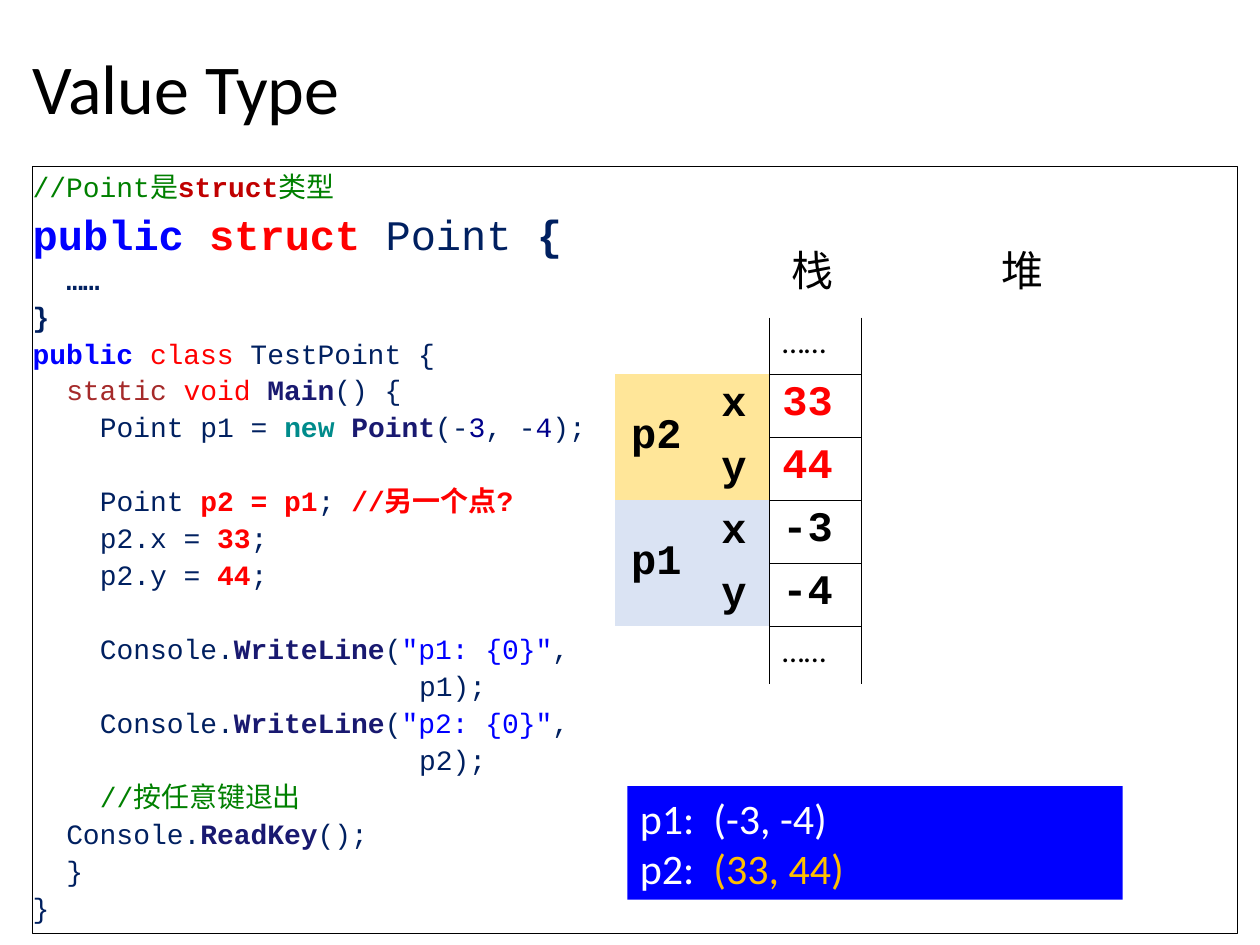
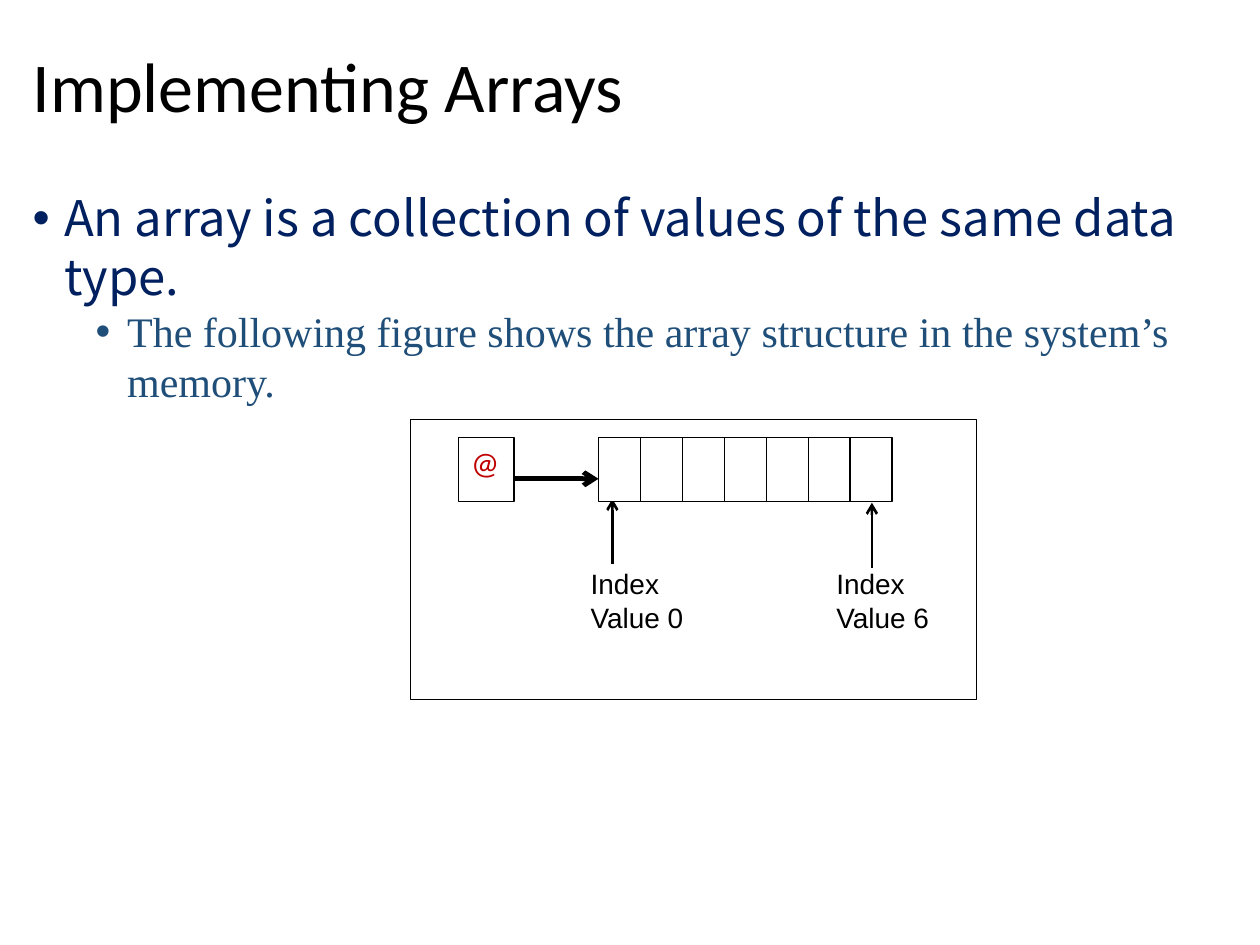
from lxml.etree import SubElement
from pptx import Presentation
from pptx.dml.color import RGBColor
from pptx.enum.shapes import MSO_CONNECTOR as CONNECTOR, MSO_SHAPE as SHAPE
from pptx.enum.text import MSO_ANCHOR as ANCHOR, MSO_AUTO_SIZE as AUTO_SIZE, PP_ALIGN as ALIGN
from pptx.oxml.ns import qn
from pptx.util import Inches, Pt

BLACK = RGBColor(0x00, 0x00, 0x00)
WHITE = RGBColor(0xFF, 0xFF, 0xFF)
NAVY = RGBColor(0x00, 0x20, 0x60)
STEEL = RGBColor(0x1F, 0x4E, 0x79)
BLUE = RGBColor(0x00, 0x00, 0xFF)
RED = RGBColor(0xFF, 0x00, 0x00)
DARK_RED = RGBColor(0xC0, 0x00, 0x00)
GREEN = RGBColor(0x00, 0x80, 0x00)
BROWN = RGBColor(0xA5, 0x2A, 0x2A)
MIDNIGHT = RGBColor(0x19, 0x19, 0x70)
TEAL = RGBColor(0x00, 0x8B, 0x8B)
DARK_BLUE = RGBColor(0x00, 0x00, 0x8B)
GOLD = RGBColor(0xFF, 0xC0, 0x00)
CREAM = RGBColor(0xFF, 0xE6, 0x99)
PALE_BLUE = RGBColor(0xDA, 0xE3, 0xF3)

CALIBRI = "Calibri"
MONO = "Courier New"
CJK = "Noto Sans CJK SC"
NO_TABLE_STYLE = "{2D5ABB26-0587-4C30-8999-92F81FD0307C}"
CODE_SIZE = 16
CODE_CHAR = 0.6 * CODE_SIZE / 72

# Each line of code: indent in characters, blank lines above, size, spans of (text, colour, bold)
CODE = [
    (0, 0, 16, [("//Point是", GREEN, False), ("struct", DARK_RED, True), ("类型", GREEN, False)]),
    (0, 0, 24, [("public ", BLUE, True), ("struct", RED, True), (" Point ", NAVY, False),
                ("{", NAVY, True)]),
    (2, 0, 16, [("……", NAVY, True)]),
    (0, 0, 16, [("}", NAVY, True)]),
    (0, 0, 16, [("public ", BLUE, True), ("class", RED, False), (" TestPoint {", NAVY, False)]),
    (2, 0, 16, [("static ", BROWN, False), ("void ", RED, False), ("Main", MIDNIGHT, True),
                ("() {", NAVY, False)]),
    (4, 0, 16, [("Point p1 = ", NAVY, False), ("new ", TEAL, True), ("Point", MIDNIGHT, True),
                ("(-", NAVY, False), ("3", DARK_BLUE, False), (", -", NAVY, False),
                ("4", DARK_BLUE, False), (");", NAVY, False)]),
    (4, 1, 16, [("Point ", NAVY, False), ("p2 = p1", RED, True), ("; ", NAVY, False),
                ("//另一个点?", RED, True)]),
    (4, 0, 16, [("p2.x = ", NAVY, False), ("33", RED, True), (";", NAVY, False)]),
    (4, 0, 16, [("p2.y = ", NAVY, False), ("44", RED, True), (";", NAVY, False)]),
    (4, 1, 16, [("Console.", NAVY, False), ("WriteLine", MIDNIGHT, True), ("(", NAVY, False),
                ('"p1: {0}"', BLUE, False), (",", NAVY, False)]),
    (23, 0, 16, [("p1);", NAVY, False)]),
    (4, 0, 16, [("Console.", NAVY, False), ("WriteLine", MIDNIGHT, True), ("(", NAVY, False),
                ('"p2: {0}"', BLUE, False), (",", NAVY, False)]),
    (23, 0, 16, [("p2);", NAVY, False)]),
    (4, 0, 16, [("//按任意键退出", GREEN, False)]),
    (2, 0, 16, [("Console.", NAVY, False), ("ReadKey", MIDNIGHT, True), ("();", NAVY, False)]),
    (2, 0, 16, [("}", NAVY, False)]),
    (0, 0, 16, [("}", NAVY, False)]),
]


def add_span(para, text, size, font, color=BLACK, bold=False):
    span = para.add_run()
    span.text = text
    span.font.size = Pt(size)
    span.font.name = font
    span.font.bold = bold
    span.font.color.rgb = color
    SubElement(span.font._element, qn("a:ea")).set("typeface", CJK)


def next_para(frame, index):
    """Give the frame's first paragraph for index 0, else a new one."""
    para = frame.paragraphs[0] if index == 0 else frame.add_paragraph()
    para.alignment = ALIGN.LEFT
    return para


def place(item, left, top, width, height):
    item.left, item.top = Inches(left), Inches(top)
    item.width, item.height = Inches(width), Inches(height)


def set_indent(para, left, hanging=0):
    properties = para._p.get_or_add_pPr()
    properties.set("marL", str(Inches(left)))
    properties.set("indent", str(-Inches(hanging)))
    return properties


def add_title(page, text, top):
    title = page.shapes.title
    place(title, 0.16, top, 9.74, 1.2)
    frame = title.text_frame
    frame.vertical_anchor = ANCHOR.MIDDLE
    frame.auto_size = AUTO_SIZE.NONE
    para = next_para(frame, 0)
    para.line_spacing = 0.9
    add_span(para, text, 40, CALIBRI)


def add_rect(page, left, top, width, height, fill=WHITE, line=None):
    box = page.shapes.add_shape(SHAPE.RECTANGLE, Inches(left), Inches(top),
                                Inches(width), Inches(height))
    box.shadow.inherit = False
    if fill is None:
        box.fill.background()
    else:
        box.fill.solid()
        box.fill.fore_color.rgb = fill
    if line is None:
        box.line.fill.background()
    else:
        box.line.color.rgb = line
        box.line.width = Pt(0.75)
    box.text_frame.word_wrap = True
    box.text_frame.vertical_anchor = ANCHOR.TOP
    return box


def add_line(page, start, end, width=0.75, arrow=False):
    line = page.shapes.add_connector(CONNECTOR.STRAIGHT, *map(Inches, start + end))
    line.line.color.rgb = BLACK
    line.line.width = Pt(width)
    if arrow:
        SubElement(line.line._get_or_add_ln(), qn("a:tailEnd")).set("type", "arrow")
    SubElement(line._element.spPr, qn("a:effectLst"))


def add_code(page):
    box = add_rect(page, 0.26, 1.32, 9.56, 6.09, fill=None, line=BLACK)
    frame = box.text_frame
    frame.margin_left = frame.margin_top = frame.margin_right = frame.margin_bottom = 0
    for index, (indent, blank_lines, size, spans) in enumerate(CODE):
        para = next_para(frame, index)
        para.line_spacing = Pt(1.32 * size)
        para.space_before = Pt(1.32 * size * blank_lines)
        set_indent(para, indent * CODE_CHAR)
        for text, color, bold in spans:
            add_span(para, text, size, MONO, color, bold)


def add_memory_headings(page):
    box = page.shapes.add_textbox(Inches(6.18), Inches(1.89), Inches(3.03), Inches(0.5))
    box.text_frame.word_wrap = True
    para = next_para(box.text_frame, 0)
    tabs = SubElement(para._p.get_or_add_pPr(), qn("a:tabLst"))
    tab = SubElement(tabs, qn("a:tab"))
    tab.set("pos", str(Inches(1.67)))
    tab.set("algn", "l")
    add_span(para, "栈\t堆", 24, CJK)


def add_cell_borders(cell, sides):
    for side in sides:
        border = SubElement(cell._tc.get_or_add_tcPr(), qn("a:ln" + side))
        border.set("w", str(Pt(0.45)))
        fill = SubElement(border, qn("a:solidFill"))
        SubElement(fill, qn("a:srgbClr")).set("val", str(BLACK))


def fill_cell(cell, text, fill=None, size=24, font=MONO, color=BLACK, centred=False):
    if fill is None:
        cell.fill.background()
    else:
        cell.fill.solid()
        cell.fill.fore_color.rgb = fill
    if not text:
        return
    para = next_para(cell.text_frame, 0)
    if centred:
        para.alignment = ALIGN.CENTER
        cell.vertical_anchor = ANCHOR.MIDDLE
    add_span(para, text, size, font, color, bold=font == MONO)


def add_stack_table(page):
    frame = page.shapes.add_table(6, 3, Inches(4.88), Inches(2.52), Inches(1.96), Inches(2.91))
    table = frame.table
    table.first_row = table.horz_banding = False
    table._tbl.tblPr[0].text = NO_TABLE_STYLE
    for column, width in zip(table.columns, (0.66, 0.57, 0.73)):
        column.width = Inches(width)
    for row, height in zip(table.rows, (0.45, 0.5, 0.5, 0.5, 0.5, 0.46)):
        row.height = Inches(height)

    for row, sides in ((0, "LRB"), (5, "LRT")):
        table.cell(row, 0).merge(table.cell(row, 1))
        for column in (0, 1):
            fill_cell(table.cell(row, column), "")
        add_cell_borders(table.cell(row, 2), sides)
        fill_cell(table.cell(row, 2), "……", size=18, font=CALIBRI)

    variables = [("p2", CREAM, RED, ("33", "44")), ("p1", PALE_BLUE, BLACK, ("-3", "-4"))]
    for index, (name, fill, color, values) in enumerate(variables):
        top = 1 + 2 * index
        table.cell(top, 0).merge(table.cell(top + 1, 0))
        fill_cell(table.cell(top, 0), name, fill, centred=True)
        fill_cell(table.cell(top + 1, 0), "", fill)
        for row, (field, value) in enumerate(zip("xy", values), top):
            fill_cell(table.cell(row, 1), field, fill, centred=True)
            add_cell_borders(table.cell(row, 2), "LRTB")
            fill_cell(table.cell(row, 2), value, color=color)


def add_output(page):
    box = add_rect(page, 4.98, 6.24, 3.93, 0.9, fill=BLUE)
    results = [("p1:  ", "(-3, -4)", WHITE), ("p2:  ", "(33, 44)", GOLD)]
    for index, (name, value, color) in enumerate(results):
        para = next_para(box.text_frame, index)
        add_span(para, name, 24, CALIBRI, WHITE)
        add_span(para, value, 24, CALIBRI, color)


def add_bullets(page):
    body = page.placeholders[1]
    place(body, 0.16, 1.44, 9.74, 5.91)
    frame = body.text_frame
    frame.auto_size = AUTO_SIZE.NONE
    bullets = [
        ("An array is a collection of values of the same data type.", 28, CJK, NAVY, 0.25, 2),
        ("The following figure shows the array structure in the system’s memory.",
         24, "Times New Roman", STEEL, 0.75, 0),
    ]
    for level, (text, size, font, color, indent, before) in enumerate(bullets):
        para = next_para(frame, level)
        para.level = level
        para.line_spacing = Pt(1.2 * size)
        para.space_before = Pt(before)
        properties = set_indent(para, indent, 0.25)
        bullet_color = SubElement(properties, qn("a:buClr"))
        SubElement(bullet_color, qn("a:srgbClr")).set("val", str(color))
        SubElement(properties, qn("a:buFont")).set("typeface", "Arial")
        SubElement(properties, qn("a:buChar")).set("char", "•")
        add_span(para, text, size, font, color)


def add_index_label(page, number, left, width, arrow_x, arrow_top):
    box = add_rect(page, left, 4.45, width, 0.8)
    for index, text in enumerate(("Index", f"Value {number}")):
        para = next_para(box.text_frame, index)
        para.line_spacing = Pt(19.2)
        add_span(para, text, 16, "Arial")
    add_line(page, (arrow_x, arrow_top + 0.52), (arrow_x, arrow_top), 1.5, arrow=True)


def add_array_figure(page):
    left, top, width, height, count = 4.75, 3.47, 2.33, 0.51, 7
    add_rect(page, 3.26, 3.33, 4.49, 2.22, line=BLACK)
    add_line(page, (4.08, 3.8), (left, 3.8), 2.75, arrow=True)
    add_index_label(page, 0, 4.59, 1, 4.86, 3.96)
    add_index_label(page, 6, 6.54, 1.04, 6.92, 3.99)
    reference = add_rect(page, 3.64, top, 0.44, height, line=BLACK)
    add_span(next_para(reference.text_frame, 0), "@", 18, CALIBRI, DARK_RED)
    add_rect(page, left, top, width, height, line=BLACK)
    for index in range(1, count):
        x = left + index * width / count
        add_line(page, (x, top), (x, top + height))


def main():
    deck = Presentation()
    deck.slide_width, deck.slide_height = Inches(10), Inches(7.5)

    page = deck.slides.add_slide(deck.slide_layouts[5])
    add_title(page, "Value Type", 0.13)
    add_code(page)
    add_memory_headings(page)
    add_stack_table(page)
    add_output(page)

    page = deck.slides.add_slide(deck.slide_layouts[1])
    add_title(page, "Implementing Arrays", 0.11)
    add_bullets(page)
    add_array_figure(page)

    deck.save("out.pptx")


if __name__ == "__main__":
    main()
